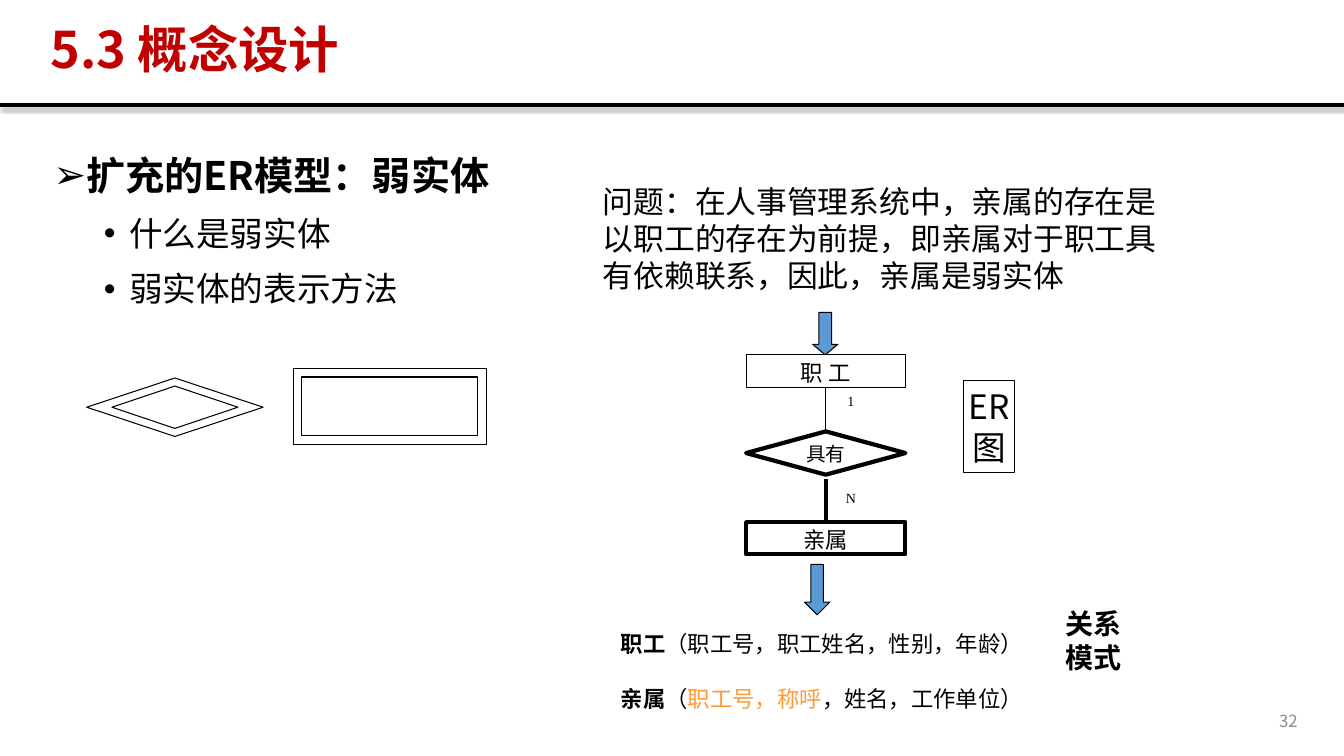
"""Build the slide on weak entities in the extended ER model."""
from lxml.etree import SubElement
from pptx import Presentation
from pptx.dml.color import RGBColor
from pptx.enum.shapes import MSO_CONNECTOR, MSO_SHAPE
from pptx.enum.text import MSO_ANCHOR, MSO_AUTO_SIZE, PP_ALIGN
from pptx.oxml.ns import qn
from pptx.util import Pt

PX = 9144
SANS, SERIF = "Noto Sans CJK SC", "Times New Roman"
COLORS = {
    "black": "000000",
    "white": "FFFFFF",
    "heading": "C00000",
    "arrow": "5B9BD5",
    "key": "FF9933",
    "number": "8C8C8C",
}
RGB = {name: RGBColor.from_string(value) for name, value in COLORS.items()}
LEFT, CENTER, RIGHT, JUSTIFY = PP_ALIGN.LEFT, PP_ALIGN.CENTER, PP_ALIGN.RIGHT, PP_ALIGN.JUSTIFY
TOP, MIDDLE = MSO_ANCHOR.TOP, MSO_ANCHOR.MIDDLE


def write(holder, lines, align=LEFT, anchor=TOP, insets=(10, 5, 10, 5), wrap=True, face=SANS):
    """Fill a text holder with lines of (size, space before, runs)."""
    frame = holder.text_frame
    frame.auto_size = MSO_AUTO_SIZE.NONE
    frame.word_wrap = wrap
    frame.vertical_anchor = anchor
    frame.margin_left, frame.margin_top, frame.margin_right, frame.margin_bottom = [
        inset * PX for inset in insets
    ]
    for index, (size, before, runs) in enumerate(lines):
        paragraph = frame.add_paragraph() if index else frame.paragraphs[0]
        paragraph.alignment = align
        paragraph.line_spacing = Pt(round(size * 1.2, 1))
        paragraph.space_before = Pt(before)
        for text, bold, color in runs:
            run = paragraph.add_run()
            run.text = text
            run.font.name = face
            run.font.size = Pt(size)
            run.font.bold = bold
            run.font.color.rgb = RGB[color]
            SubElement(run.font._element, qn("a:ea"), typeface=face)
    return frame.paragraphs


def draw(kind, box, fill=None, weight=0.75):
    """Add an outlined preset shape."""
    outline = slide.shapes.add_shape(kind, *[length * PX for length in box])
    outline.shadow.inherit = False
    if fill:
        outline.fill.solid()
        outline.fill.fore_color.rgb = RGB[fill]
    else:
        outline.fill.background()
    outline.line.color.rgb = RGB["black"]
    outline.line.width = Pt(weight)
    return outline


deck = Presentation()
deck.slide_width, deck.slide_height = 1333 * PX, 750 * PX
slide = deck.slides.add_slide(deck.slide_layouts[1])
heading, topics = slide.placeholders

for holder, box in ((heading, (40, 19, 1170, 65)), (topics, (43, 136, 1253, 539))):
    holder.left, holder.top, holder.width, holder.height = [length * PX for length in box]

heading_line = write(heading, [(36, 0, [("5.3 概念设计", True, "heading")])], JUSTIFY, MIDDLE)[0]
heading_line.line_spacing = 0.9

topic_lines = write(
    topics,
    [
        (28, 0, [("扩充的ER模型：弱实体", True, "black")]),
        (24, 5, [("什么是弱实体", False, "black")]),
        (24, 5, [("弱实体的表示方法", False, "black")]),
    ],
    JUSTIFY,
)
for level, bullet, topic in zip((0, 1, 1), "➢••", topic_lines):
    topic.level = level
    topic.line_spacing = Pt((40, 34.5)[level])
    properties = topic._p.get_or_add_pPr()
    properties.set("marL", str((25, 75)[level] * PX))
    properties.set("indent", str(-25 * PX))
    SubElement(properties, qn("a:buFont"), typeface="Arial")
    SubElement(properties, qn("a:buChar"), char=bullet)

for x1, y1, x2, y2, weight in (
    (0, 104, 1333, 104, 3),
    (819, 384, 819, 428, 0.75),
    (819, 475, 819, 518, 3),
):
    link = slide.shapes.add_connector(
        MSO_CONNECTOR.STRAIGHT, x1 * PX, y1 * PX, x2 * PX, y2 * PX
    )
    link.line.color.rgb = RGB["black"]
    link.line.width = Pt(weight)
    effects = SubElement(link._element.spPr, qn("a:effectLst"))
    if y1 == y2:
        shadow = SubElement(
            effects, qn("a:outerShdw"), blurRad=str(Pt(3.1)), dist=str(Pt(1.8)), dir="5400000"
        )
        shade = SubElement(shadow, qn("a:srgbClr"), val=COLORS["black"])
        SubElement(shade, qn("a:alpha"), val="35000")

for kind, box in (
    (MSO_SHAPE.DIAMOND, (86, 375, 175, 58)),
    (MSO_SHAPE.DIAMOND, (111, 383, 125, 42)),
    (MSO_SHAPE.RECTANGLE, (291, 366, 192, 75)),
    (MSO_SHAPE.RECTANGLE, (299, 374, 175, 58)),
):
    draw(kind, box)

for box, head in (((806, 310, 25, 42), 0.417), ((798, 560, 25, 50), 0.5)):
    step = draw(MSO_SHAPE.DOWN_ARROW, box, "arrow")
    step.adjustments[1] = head

for kind, top, height, weight, label, size, inset in (
    (MSO_SHAPE.RECTANGLE, 352, 32, 0.75, "职 工", 16, 4),
    (MSO_SHAPE.FLOWCHART_DECISION, 428, 43, 3, "具有", 14, 0),
    (MSO_SHAPE.RECTANGLE, 518, 32, 3, "亲属", 16, 4),
):
    node = draw(kind, (740, top, 158, height), "white", weight)
    write(node, [(size, 0, [(label, False, "black")])], CENTER, insets=(0, inset, 0, 0))

for top, cardinality in ((389, "1"), (486, "N")):
    mark = slide.shapes.add_textbox(811 * PX, top * PX, 66 * PX, 32 * PX)
    write(mark, [(10, 0, [(cardinality, False, "black")])], CENTER, insets=(0,) * 4, face=SERIF)

diagram_tag = draw(MSO_SHAPE.RECTANGLE, (956, 377, 50, 92))
write(
    diagram_tag,
    [(24, 0, [(part, False, "black")]) for part in ("ER", "图")],
    CENTER, MIDDLE, wrap=False,
)

problem = "问题：在人事管理系统中，亲属的存在是以职工的存在为前提，即亲属对于职工具有依赖联系，因此，亲属是弱实体"
schemas = [
    (16, 0, [("职工", True, "black"), ("（职工号，职工姓名，性别，年龄）", False, "black")]),
    (16, 20, [
        ("亲属", True, "black"),
        ("（", False, "black"),
        ("职工号，称呼", False, "key"),
        ("，姓名，工作单位）", False, "black"),
    ]),
]
schema_tag = [(20, 0, [(part, True, "black")]) for part in ("关系", "模式")]
page_number = [(12, 0, [("32", False, "number")])]
for box, lines, align, anchor, wrap in (
    ((588, 176, 579, 121), [(22, 0, [(problem, False, "black")])], LEFT, TOP, True),
    ((606, 620, 450, 97), schemas, LEFT, TOP, True),
    ((1056, 577, 58, 117), schema_tag, CENTER, MIDDLE, False),
    ((997, 695, 300, 40), page_number, RIGHT, MIDDLE, True),
):
    note = slide.shapes.add_textbox(*[length * PX for length in box])
    write(note, lines, align, anchor, wrap=wrap)

deck.save("out.pptx")
